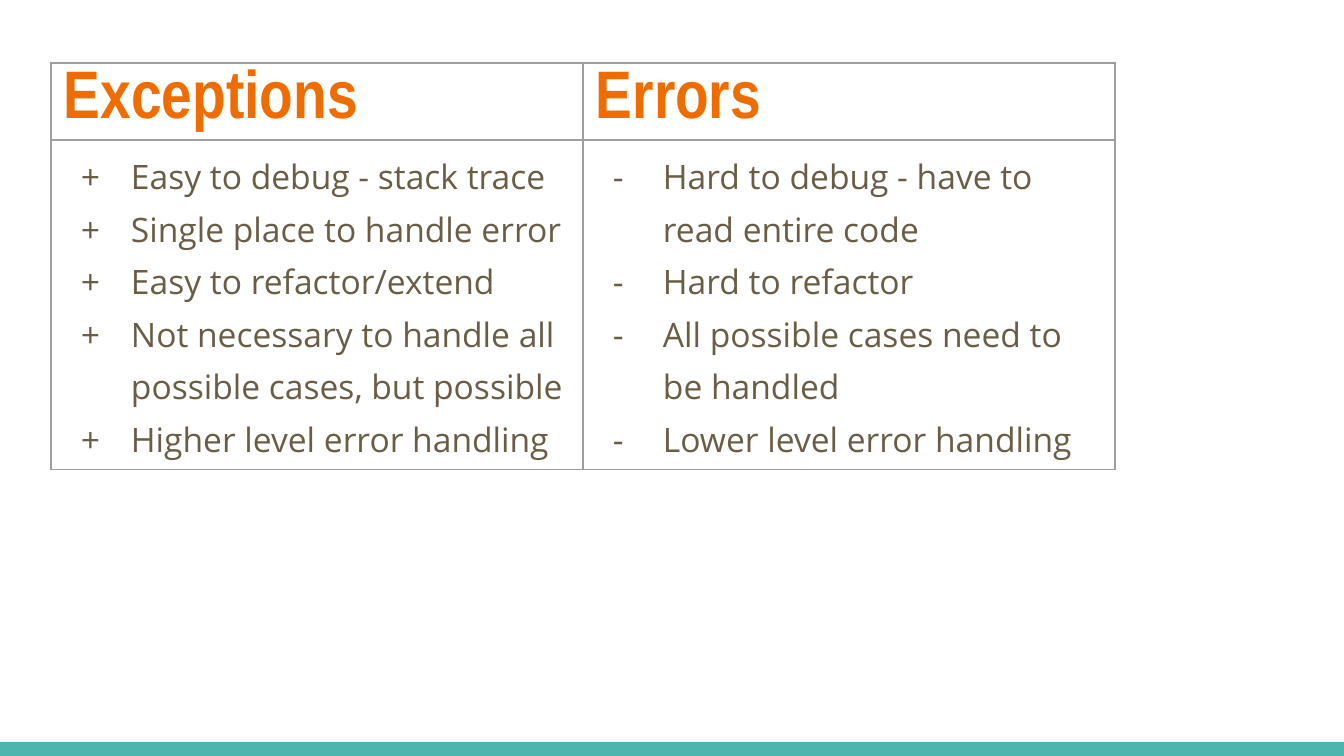
from lxml.etree import SubElement
from pptx import Presentation
from pptx.dml.color import RGBColor
from pptx.enum.shapes import MSO_SHAPE
from pptx.oxml.ns import qn
from pptx.util import Emu, Pt

COLORS = {"accent": "EF6C00", "text": "695D46", "border": "9E9E9E", "footer": "4DB6AC"}
COLUMNS = [
    ("Exceptions", "+", [
        "Easy to debug - stack trace",
        "Single place to handle error",
        "Easy to refactor/extend",
        "Not necessary to handle all possible cases, but possible",
        "Higher level error handling",
    ]),
    ("Errors", "-", [
        "Hard to debug - have to read entire code",
        "Hard to refactor",
        "All possible cases need to be handled",
        "Lower level error handling",
    ]),
]
SLIDE_WIDTH, SLIDE_HEIGHT = 1344, 756
FOOTER_TOP = 742
TABLE_LEFT, TABLE_TOP = 51, 63
COLUMN_WIDTH = 532
ROW_HEIGHTS = [77, 328]
MARGIN_X, MARGIN_Y = 13, 7
TEXT_INDENT, BULLET_HANG = 67, 50


def px(value):
    return Emu(round(value * 914400 / 134.4))


def color(name):
    return RGBColor.from_string(COLORS[name])


def style_font(paragraph, name, size, color_name, bold):
    font = paragraph.font
    font.name, font.size, font.bold = name, Pt(size), bold
    font.color.rgb = color(color_name)


def add_bullet(paragraph, character):
    properties = paragraph._p.get_or_add_pPr()
    properties.set("marL", str(px(TEXT_INDENT)))
    properties.set("indent", str(-px(BULLET_HANG)))
    bullet_color = SubElement(properties, qn("a:buClr"))
    SubElement(bullet_color, qn("a:srgbClr"), val=COLORS["text"])
    SubElement(properties, qn("a:buFont"), typeface="Open Sans")
    SubElement(properties, qn("a:buChar"), char=character)


def style_cell(cell):
    cell.margin_left = cell.margin_right = px(MARGIN_X)
    cell.margin_top = cell.margin_bottom = px(MARGIN_Y)
    properties = cell._tc.get_or_add_tcPr()
    for side in ("lnL", "lnR", "lnT", "lnB"):
        line = SubElement(properties, qn(f"a:{side}"), w=str(Pt(0.75)))
        fill = SubElement(line, qn("a:solidFill"))
        SubElement(fill, qn("a:srgbClr"), val=COLORS["border"])
    cell.fill.background()


presentation = Presentation()
presentation.slide_width, presentation.slide_height = px(SLIDE_WIDTH), px(SLIDE_HEIGHT)
slide = presentation.slides.add_slide(presentation.slide_layouts[6])

footer = slide.shapes.add_shape(
    MSO_SHAPE.RECTANGLE, 0, px(FOOTER_TOP), px(SLIDE_WIDTH), px(SLIDE_HEIGHT - FOOTER_TOP))
footer.shadow.inherit = False
footer.fill.solid()
footer.fill.fore_color.rgb = color("footer")
footer.line.fill.background()

table = slide.shapes.add_table(
    len(ROW_HEIGHTS), len(COLUMNS), px(TABLE_LEFT), px(TABLE_TOP),
    px(COLUMN_WIDTH * len(COLUMNS)), px(sum(ROW_HEIGHTS))).table
table.first_row = table.horz_banding = False
for row, height in zip(table.rows, ROW_HEIGHTS):
    row.height = px(height)

for index, (heading, bullet, points) in enumerate(COLUMNS):
    table.columns[index].width = px(COLUMN_WIDTH)
    header, body = table.cell(0, index), table.cell(1, index)
    style_cell(header)
    style_cell(body)
    header.text = heading
    style_font(header.text_frame.paragraphs[0], "Arial Narrow", 36, "accent", True)
    body.text = "\n".join(points)
    for paragraph in body.text_frame.paragraphs:
        paragraph.line_spacing = 1.15
        add_bullet(paragraph, bullet)
        style_font(paragraph, "Open Sans", 18, "text", False)

presentation.save("out.pptx")
